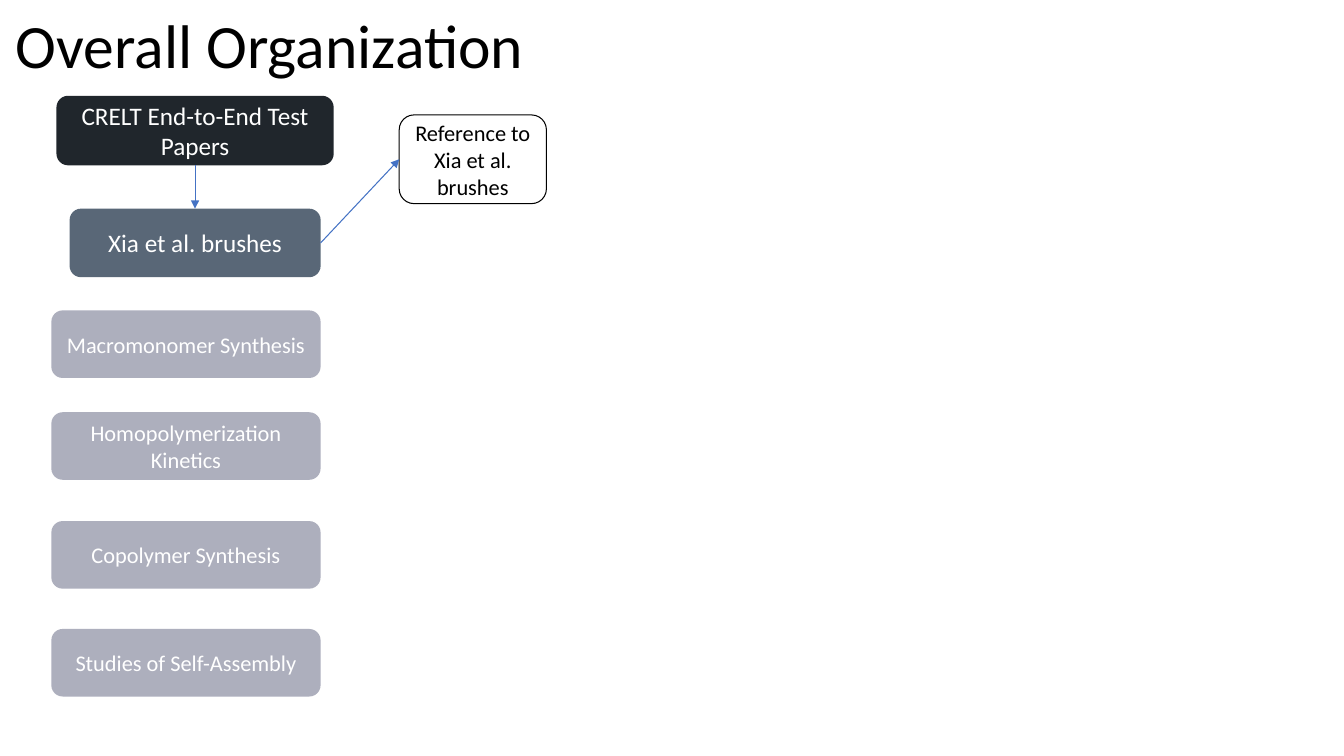
from lxml.etree import SubElement
from pptx import Presentation
from pptx.dml.color import RGBColor
from pptx.enum.shapes import MSO_CONNECTOR, MSO_SHAPE
from pptx.enum.text import MSO_ANCHOR, PP_ALIGN
from pptx.oxml.ns import qn
from pptx.util import Emu, Pt

EMU_PER_PX = 9144  # 100 px to the inch
FONT = "Calibri"
WHITE, BLACK, BLUE = "FFFFFF", "000000", "4472C4"
DARK, SLATE, GREY = "20262C", "596777", "ADAFBD"
LEFT, TOP, RIGHT, BOTTOM = 1, 0, 3, 2  # connection sites of a box

# Experiment boxes: top edge and label
EXPERIMENTS = [
    (308, "Macromonomer Synthesis"),
    (409, "Homopolymerization Kinetics"),
    (517, "Copolymer Synthesis"),
    (624, "Studies of Self-Assembly"),
]


def px(length):
    return Emu(length * EMU_PER_PX)


def color(hex_value):
    return RGBColor.from_string(hex_value)


def apply_format(target, values):
    for name, value in values.items():
        setattr(target, name, value)


def write_text(shape, text, size, hex_value, paragraph_format):
    frame = shape.text_frame
    apply_format(frame, {"word_wrap": True, "vertical_anchor": MSO_ANCHOR.MIDDLE})
    para = frame.paragraphs[0]
    apply_format(para, paragraph_format)
    span = para.add_run()
    span.text = text
    apply_format(span.font, {"name": FONT, "size": Pt(size)})
    span.font.color.rgb = color(hex_value)


def add_title(page, text, bounds):
    box = page.shapes.add_textbox(*map(px, bounds))
    write_text(box, text, 44, BLACK, {"line_spacing": 0.9})


def add_box(page, text, bounds, fill, size, text_color=WHITE, outline=None):
    box = page.shapes.add_shape(MSO_SHAPE.ROUNDED_RECTANGLE, *map(px, bounds))
    box.shadow.inherit = False
    box.fill.solid()
    box.fill.fore_color.rgb = color(fill)
    if outline:
        box.line.color.rgb = color(outline)
        box.line.width = Pt(0.75)
    else:
        box.line.fill.background()
    write_text(box, text, size, text_color, {"alignment": PP_ALIGN.CENTER})
    return box


def add_arrow(page, source, source_site, target, target_site):
    arrow = page.shapes.add_connector(MSO_CONNECTOR.STRAIGHT, 0, 0, 0, 0)
    arrow.begin_connect(source, source_site)
    arrow.end_connect(target, target_site)
    arrow.line.color.rgb = color(BLUE)
    arrow.line.width = Pt(0.75)
    SubElement(arrow.line._get_or_add_ln(), qn("a:tailEnd"), type="triangle")
    SubElement(arrow._element.spPr, qn("a:effectLst"))


def main():
    deck = Presentation()
    apply_format(deck, {"slide_width": px(1333), "slide_height": px(750)})
    page = deck.slides.add_slide(deck.slide_layouts[6])

    add_title(page, "Overall Organization", (6, -24, 1150, 145))

    # Project, collection and reference
    project = add_box(page, "CRELT End-to-End Test Papers", (56, 95, 275, 69), DARK, 18)
    collection = add_box(page, "Xia et al. brushes", (69, 207, 249, 68), SLATE, 18)
    reference = add_box(page, "Reference to Xia et al. brushes", (396, 114, 146, 88),
                        WHITE, 16, BLACK, BLACK)
    add_arrow(page, collection, RIGHT, reference, LEFT)
    add_arrow(page, project, BOTTOM, collection, TOP)

    # Experiments
    for top, label in EXPERIMENTS:
        add_box(page, label, (51, top, 267, 67), GREY, 16)

    deck.save("out.pptx")


if __name__ == "__main__":
    main()
